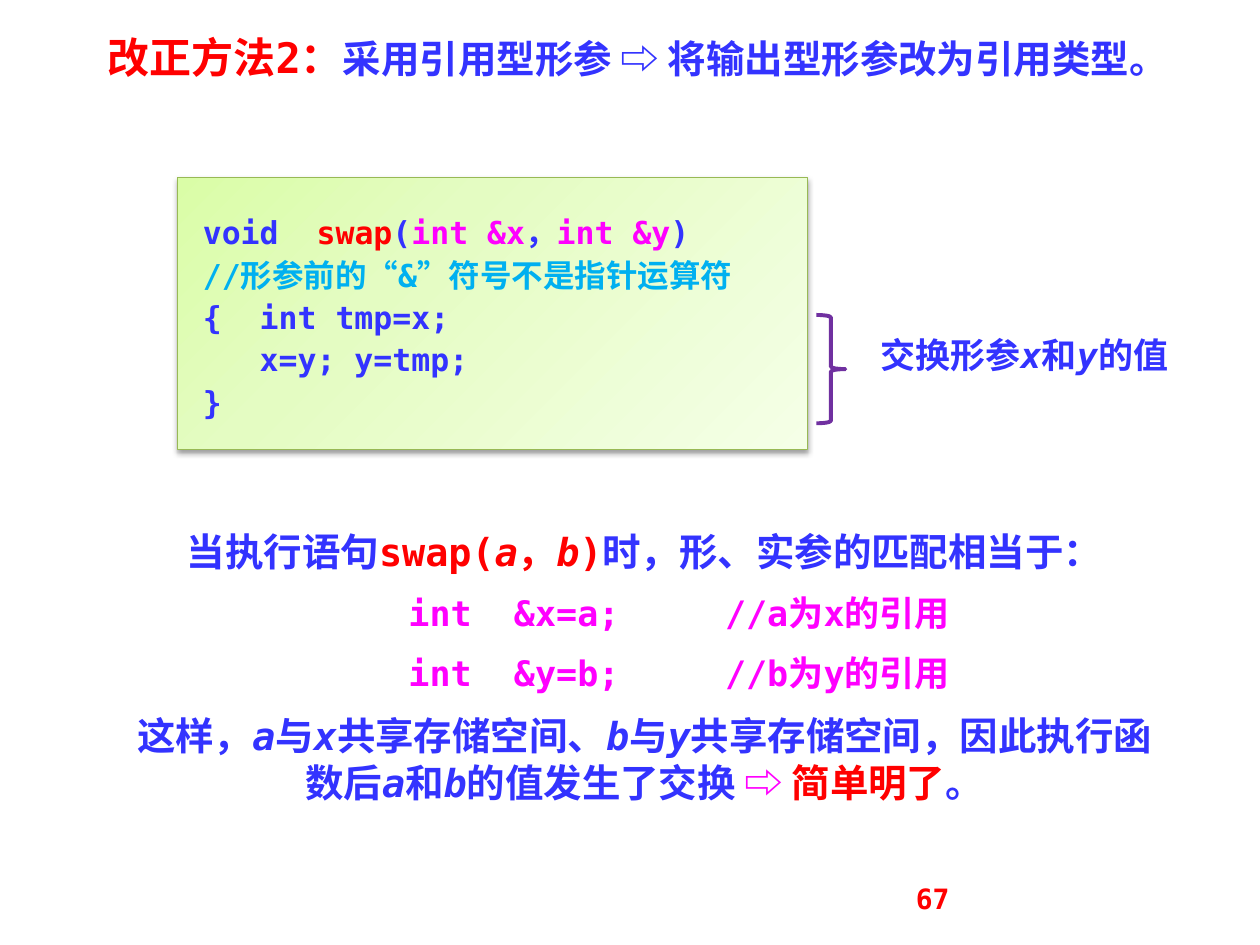
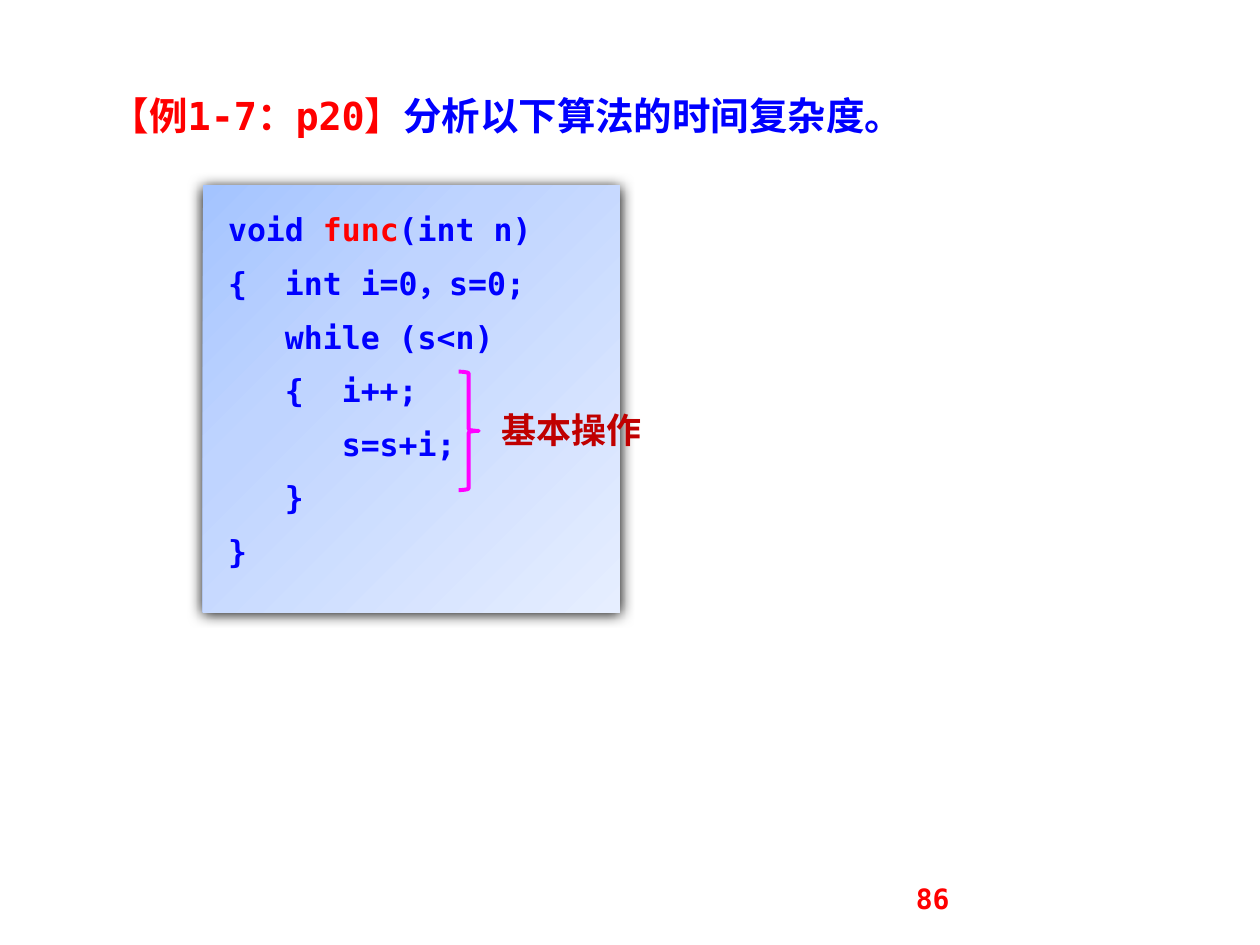
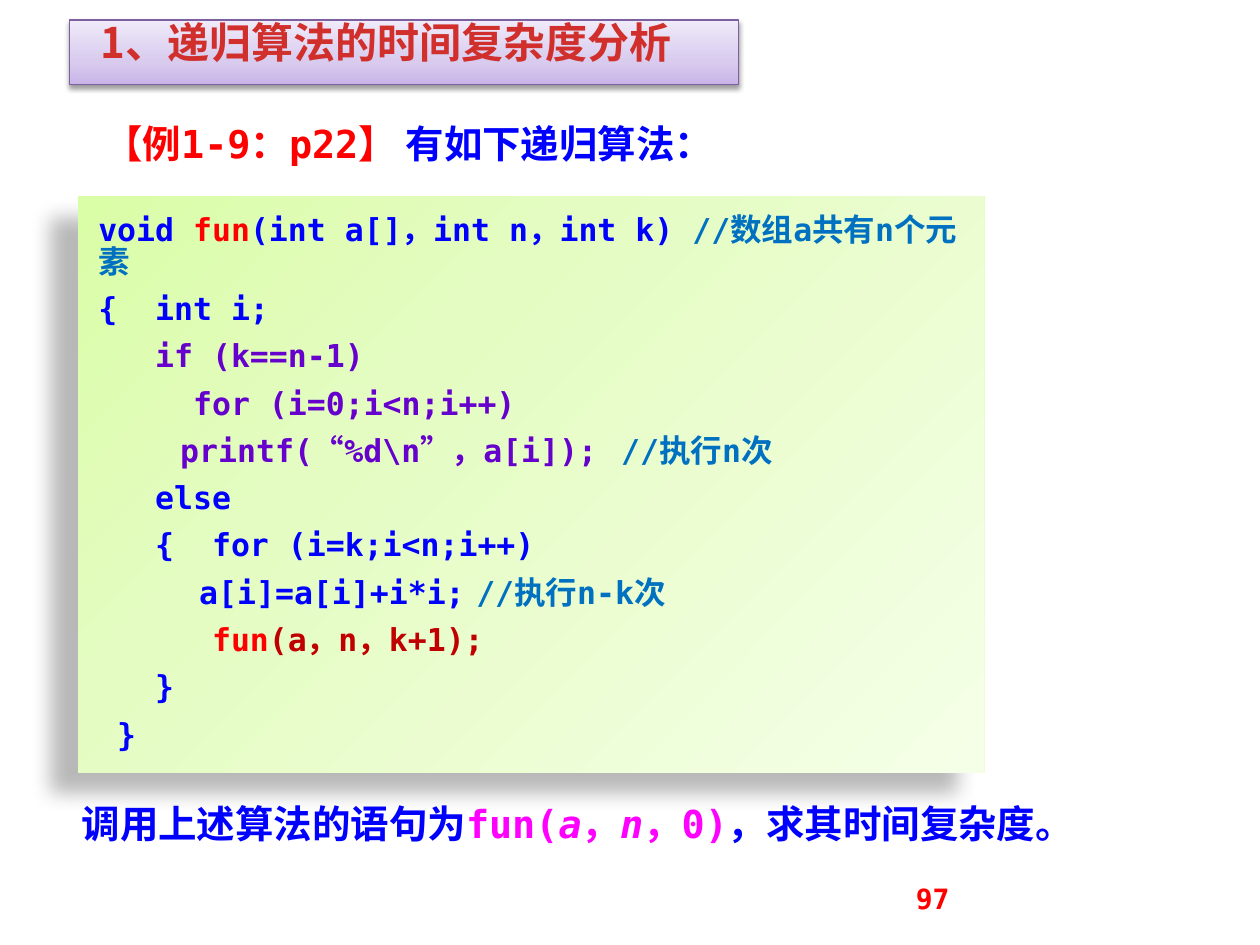
from dataclasses import dataclass

from lxml import etree
from pptx import Presentation
from pptx.dml.color import RGBColor
from pptx.enum.shapes import MSO_SHAPE
from pptx.enum.text import MSO_ANCHOR, MSO_AUTO_SIZE, PP_ALIGN
from pptx.oxml.ns import qn
from pptx.util import Inches, Pt

RECTANGLE, BRACE = MSO_SHAPE.RECTANGLE, MSO_SHAPE.RIGHT_BRACE
LEFT, CENTER, JUSTIFY = PP_ALIGN.LEFT, PP_ALIGN.CENTER, PP_ALIGN.JUSTIFY
TOP, FIXED = MSO_ANCHOR.TOP, MSO_AUTO_SIZE.NONE
TITLE_ONLY = 5


@dataclass(frozen=True)
class Theme:
    """Colours, fonts, type sizes and surface effects of the deck."""
    red: str = "FF0000"
    violet_blue: str = "3333FF"
    blue: str = "0000FF"
    magenta: str = "FF00FF"
    sky: str = "00B0F0"
    comment: str = "0070C0"
    purple: str = "6600CC"
    brace_purple: str = "7030A0"
    crimson: str = "C00000"
    heading_red: str = "D02F2C"
    green_edge: str = "98B955"
    lilac_edge: str = "7D60A0"
    mono: str = "DejaVu Sans Mono"
    sans: str = "Noto Sans CJK SC"
    heading: int = 24
    body: int = 22
    label: int = 20
    code: int = 18
    number: int = 16
    green: tuple = ("DAFDA7", "E4FCC2", "F5FFE7", 45)
    azure: tuple = ("A4C4FF", "BFD4FF", "E6EEFF", 45)
    lilac: tuple = ("C9B5E8", "D8CBEE", "F0EAF9", 270)
    soft_shadow: tuple = (38, 3.1, 1.6, 90)
    glow_shadow: tuple = (100, 8.5, 1, 90)
    cast_shadow: tuple = (28, 11.8, 19.7, 141)


T = Theme()


@dataclass(frozen=True)
class Box:
    """A region measured in inches."""
    left: float
    top: float
    width: float
    height: float

    def inside(self, left, top, width, height):
        """Return a box offset from this one's top left corner."""
        return Box(self.left + left, self.top + top, width, height)

    def lengths(self):
        """Return left, top, width and height as lengths."""
        return [Inches(v) for v in (self.left, self.top, self.width, self.height)]


def apply(target, values):
    """Set every attribute named in a dict of format values."""
    for name, value in values.items():
        setattr(target, name, value)


def write_run(paragraph, text, colour, size, font, italic):
    """Add one bold run with its Latin and East Asian fonts."""
    run = paragraph.add_run()
    run.text = text
    apply(run.font, {"size": Pt(size), "bold": True, "italic": italic, "name": font})
    run.font.color.rgb = RGBColor.from_string(colour)
    etree.SubElement(run.font._element, qn("a:ea"), typeface=T.sans)


def write(shape, paragraphs, size, font=T.mono, align=LEFT, spacing=1.0,
          insets=(0.1, 0.05, 0.1, 0.05)):
    """Fill a shape with paragraphs of (colour, text) parts; _x_ marks italics."""
    frame = shape.text_frame
    margins = ("margin_left", "margin_top", "margin_right", "margin_bottom")
    apply(frame, dict(zip(margins, map(Inches, insets))))
    apply(frame, {"word_wrap": True, "auto_size": FIXED, "vertical_anchor": TOP})
    for index, parts in enumerate(paragraphs):
        paragraph = frame.add_paragraph() if index else frame.paragraphs[0]
        apply(paragraph, {"alignment": align, "line_spacing": spacing,
                          "space_before": Pt(size / 2 if index else 0)})
        for colour, text, *own_size in parts:
            for position, piece in enumerate(text.split("_")):
                if piece:
                    write_run(paragraph, piece, colour, own_size[0] if own_size else size,
                              font, position % 2 == 1)
    return frame


def indent(paragraph, inches):
    """Move the left edge of a paragraph."""
    properties = paragraph._p.get_or_add_pPr()
    properties.set("marL", str(Inches(inches)))
    properties.set("indent", "0")


def paint(shape, gradient, shadow, edge=None):
    """Give a surface its gradient, outer shadow and optional thin edge."""
    *colours, angle = gradient
    shape.fill.background()
    if edge:
        shape.line.color.rgb = RGBColor.from_string(edge)
        shape.line.width = Pt(0.75)
    else:
        shape.line.fill.background()
    shape.shadow.inherit = False
    properties = shape._element.spPr
    grad = etree.Element(qn("a:gradFill"), rotWithShape="1")
    stops = etree.SubElement(grad, qn("a:gsLst"))
    for position, colour in zip((0, 35, 100), colours):
        stop = etree.SubElement(stops, qn("a:gs"), pos=str(position * 1000))
        etree.SubElement(stop, qn("a:srgbClr"), val=colour)
    etree.SubElement(grad, qn("a:lin"), ang=str(angle * 60000), scaled="0")
    properties.replace(properties.find(qn("a:noFill")), grad)
    alpha, blur, distance, direction = shadow
    outer = etree.SubElement(properties.find(qn("a:effectLst")), qn("a:outerShdw"),
                             blurRad=str(Pt(blur)), dist=str(Pt(distance)),
                             dir=str(direction * 60000), algn="ctr", rotWithShape="0")
    black = etree.SubElement(outer, qn("a:srgbClr"), val="000000")
    etree.SubElement(black, qn("a:alpha"), val=str(alpha * 1000))


def add_text(slide, box, paragraphs, size, **options):
    """Place a plain text region."""
    return write(slide.shapes.add_textbox(*box.lengths()), paragraphs, size, **options)


def add_title(slide, box, parts, size, **options):
    """Move the title placeholder into the box and write it."""
    title = slide.shapes.title
    apply(title, dict(zip(("left", "top", "width", "height"), box.lengths())))
    write(title, [parts], size, **options)
    return title


def add_code(slide, box, lines, gradient, shadow, edge=None, **options):
    """Place a shaded code panel."""
    panel = slide.shapes.add_shape(RECTANGLE, *box.lengths())
    paint(panel, gradient, shadow, edge)
    return write(panel, lines, T.code, **options)


def add_brace(slide, box, colour):
    """Place a right brace that groups code lines."""
    brace = slide.shapes.add_shape(BRACE, *box.lengths())
    brace.fill.background()
    brace.line.color.rgb = RGBColor.from_string(colour)
    brace.line.width = Pt(2.25)
    brace.shadow.inherit = False


def new_slide(deck, number):
    """Add a title-only slide with its page number."""
    slide = deck.slides.add_slide(deck.slide_layouts[TITLE_ONLY])
    add_text(slide, Box(7.17, 6.95, 2.33, 0.4), [[(T.red, str(number))]], T.number)
    return slide


def reference_slide(deck):
    """Build the slide on reference parameters."""
    slide = new_slide(deck, 67)
    ink = T.violet_blue
    add_title(slide, Box(0.43, 0.28, 9.26, 0.55),
              [(T.red, "改正方法2：", T.heading),
               (ink, "采用引用型形参 ⇨ 将输出型形参改为引用类型。")],
              T.body, align=CENTER, spacing=0.8)
    panel = Box(1.41, 1.41, 5, 2.16)
    code = add_code(slide, panel, [
        [(ink, "void  "), (T.red, "swap"), (ink, "("), (T.magenta, "int &x"),
         (ink, "，"), (T.magenta, "int &y"), (ink, ")")],
        [(T.sky, "//形参前的“&”符号不是指针运算符")],
        [(ink, "{  int tmp=x;")],
        [(ink, "   x=y; y=tmp;")],
        [(ink, "}")],
    ], T.green, T.soft_shadow, T.green_edge, align=JUSTIFY, spacing=0.7,
        insets=(0.2, 0.16, 0.2, 0.12))
    code.paragraphs[0].line_spacing = 1.4
    add_brace(slide, panel.inside(5.07, 1.09, 0.23, 0.86), T.brace_purple)
    add_text(slide, panel.inside(5.39, 1.25, 2.66, 0.45),
             [[(ink, "交换形参_x_和_y_的值")]], T.label, align=CENTER, spacing=0.8)
    bindings = [[(T.magenta, f"int  &{formal}={actual};     //{actual}为{formal}的引用", T.label)]
                for formal, actual in ("xa", "yb")]
    explanation = add_text(slide, Box(0.94, 4.14, 8.35, 2.41), [
        [(ink, "当执行语句"), (T.red, "swap(_a_，_b_)"), (ink, "时，形、实参的匹配相当于：")],
        *bindings,
        [(ink, "这样，_a_与_x_共享存储空间、_b_与_y_共享存储空间，"
               "因此执行函数后_a_和_b_的值发生了交换 "),
         (T.magenta, "⇨ "), (T.red, "简单明了"), (ink, "。")],
    ], T.body, align=CENTER)
    for binding in explanation.paragraphs[1:3]:
        indent(binding, 0.55)
        binding.space_before = Pt(T.label / 2)


def loop_slide(deck):
    """Build the slide on the cost of a loop."""
    slide = new_slide(deck, 86)
    add_title(slide, Box(0.78, 0.68, 7.17, 0.47),
              [(T.red, "【例1-7：p20】"), (T.blue, "分析以下算法的时间复杂度。")],
              T.body, align=JUSTIFY)
    panel = Box(1.61, 1.47, 3.31, 3.39)
    body = ["{  int i=0，s=0;", "   while (s<n)", "   {  i++;", "      s=s+i;", "   }", "}"]
    add_code(slide, panel,
             [[(T.blue, "void "), (T.red, "func"), (T.blue, "(int n)")],
              *[[(T.blue, line)] for line in body]],
             T.azure, T.glow_shadow, align=JUSTIFY, insets=(0.2, 0.2, 0.1, 0.16))
    add_text(slide, panel.inside(2.27, 1.72, 1.75, 0.43),
             [[(T.crimson, "基本操作")]], T.label, font=T.sans)
    add_brace(slide, panel.inside(2.03, 1.48, 0.16, 0.94), T.magenta)


def recursion_slide(deck):
    """Build the slide on the cost of recursion."""
    slide = new_slide(deck, 97)
    title = add_title(slide, Box(0.55, 0.16, 5.31, 0.51),
                      [(T.heading_red, "1、递归算法的时间复杂度分析")],
                      T.heading, font=T.sans, spacing=0.8)
    paint(title, T.lilac, T.soft_shadow, T.lilac_edge)
    indent(title.text_frame.paragraphs[0], 0.15)
    example = add_text(slide, Box(0.55, 0.9, 5.55, 0.47),
                       [[(T.red, "【例1-9：p22】 "), (T.blue, "有如下递归算法：")]],
                       T.body, align=JUSTIFY)
    indent(example.paragraphs[0], 0.18)
    add_text(slide, Box(0.55, 6.37, 8.52, 0.48),
             [[(T.blue, "调用上述算法的语句为"), (T.magenta, "fun(_a_，_n_，0)"),
               (T.blue, "，求其时间复杂度。")]], T.body, spacing=0.8)
    add_code(slide, Box(0.62, 1.56, 7.19, 4.57), [
        [(T.blue, "void "), (T.red, "fun"), (T.blue, "(int a[]，int n，int k) "),
         (T.comment, "//数组a共有n个元素")],
        [(T.blue, "{  int i;")],
        [(T.purple, "   if (k==n-1)")],
        [(T.purple, "     for (i=0;i<n;i++)")],
        [(T.purple, "\t printf(“%d\\n”，a[i]);\t "), (T.comment, "//执行n次")],
        [(T.blue, "   else")],
        [(T.blue, "   {  for (i=k;i<n;i++)")],
        [(T.blue, "\t  a[i]=a[i]+i*i;\t"), (T.comment, "//执行n-k次")],
        [(T.red, "      fun"), (T.crimson, "(a，n，k+1);")],
        [(T.blue, "   }")],
        [(T.blue, " }")],
    ], T.green, T.cast_shadow, spacing=Pt(18), insets=(0.16, 0.16, 0.1, 0.12))


def main():
    """Build the deck and save it."""
    deck = Presentation()
    apply(deck, {"slide_width": Inches(10), "slide_height": Inches(7.5)})
    for build in (reference_slide, loop_slide, recursion_slide):
        build(deck)
    deck.save("out.pptx")


if __name__ == "__main__":
    main()
